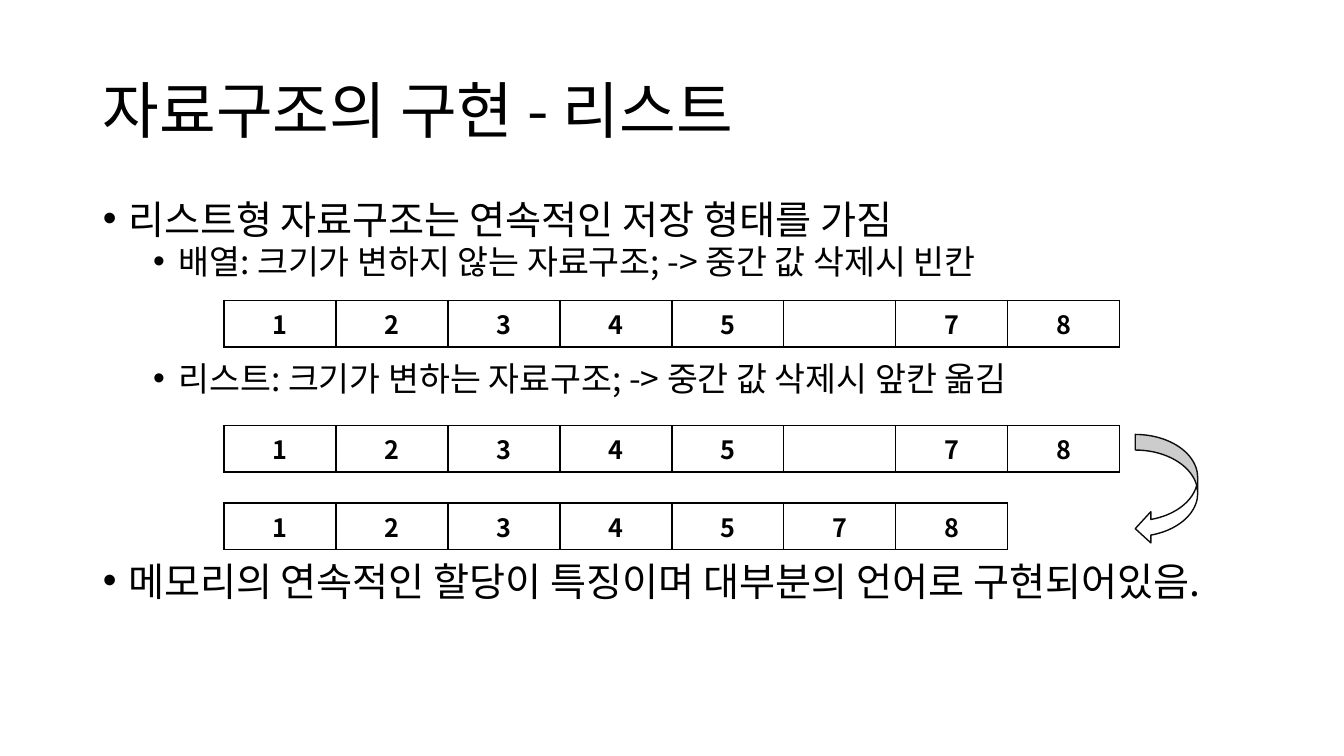
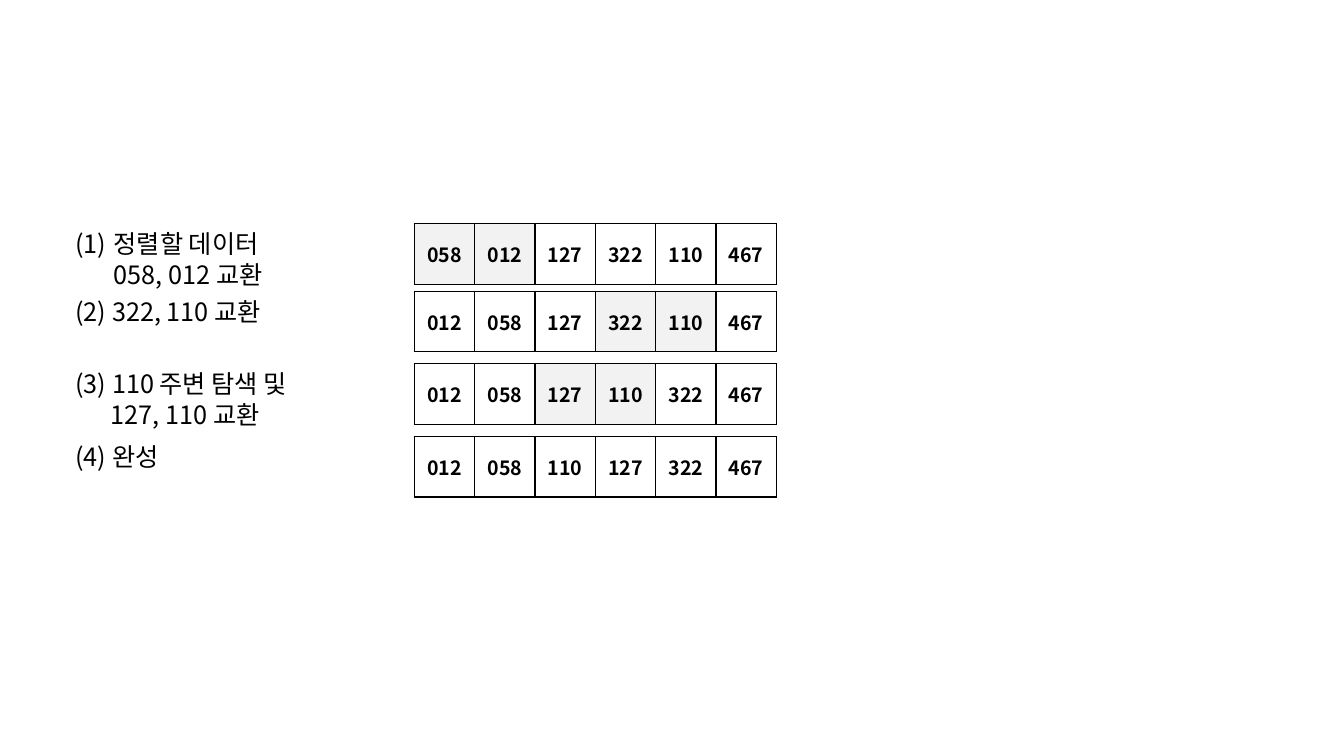
from lxml import etree
from pptx import Presentation
from pptx import util as u
from pptx.dml.color import RGBColor
from pptx.enum import shapes, text
from pptx.oxml.ns import qn

BLACK = RGBColor(0x00, 0x00, 0x00)
INK = RGBColor(0x0D, 0x0D, 0x0D)
WHITE = RGBColor(0xFF, 0xFF, 0xFF)
MARKED = RGBColor(0xF2, 0xF2, 0xF2)
FONT = "Noto Sans CJK KR"
WIDTH, HEIGHT = u.Inches(13.33), u.Inches(7.5)
COLUMN = 100 / 12


def box(left, top, width, height):
    """Turn percentages of the slide into left, top, width and height."""
    return [u.Emu(int(side * share / 100))
            for side, share in zip((WIDTH, HEIGHT) * 2, (left, top, width, height))]


def place(sp, area):
    """Move and size a shape."""
    sp.left, sp.top, sp.width, sp.height = area


def style(p, size, bold=False):
    """Format every run of a paragraph, Latin and Korean alike."""
    for r in p.runs:
        r.font.size, r.font.bold, r.font.name = u.Pt(size), bold, FONT
        r.font.color.rgb = BLACK
        etree.SubElement(r.font._element, qn("a:ea"), typeface=FONT)


def hang(p, left, hanging, tag="a:buNone", **attrs):
    """Give a paragraph a hanging indent and a bullet."""
    pPr = p._p.get_or_add_pPr()
    pPr.set("marL", str(u.Inches(left)))
    pPr.set("indent", str(-u.Inches(hanging)))
    etree.SubElement(pPr, qn(tag), **attrs)


def add_title(s, title):
    """Fill the title placeholder."""
    sp = s.shapes.title
    place(sp, box(6.9, 5.33, 86.25, 19.33))
    tf = sp.text_frame
    tf.text = title
    tf.auto_size = text.MSO_AUTO_SIZE.NONE
    tf.vertical_anchor = text.MSO_ANCHOR.MIDDLE
    p = tf.paragraphs[0]
    p.alignment, p.line_spacing = text.PP_ALIGN.LEFT, 0.9
    style(p, 44)


def add_list(s, items):
    """Fill the body placeholder with (level, space before, text) items."""
    sp = s.placeholders[1]
    place(sp, box(6.9, 26.67, 86.25, 63.47))
    tf = sp.text_frame
    tf.text = "\n".join(item[2] for item in items)
    tf.auto_size = text.MSO_AUTO_SIZE.NONE
    tf.vertical_anchor = text.MSO_ANCHOR.TOP
    for p, (level, before, _) in zip(tf.paragraphs, items):
        p.level, p.line_spacing, p.space_before = level, 0.75, u.Pt(before)
        hang(p, 0.25 + 0.5 * level, 0.25, "a:buChar", char="•")
        style(p, 28 - 4 * level)


def add_border(cell):
    """Draw a thin black line on all four sides of a cell."""
    tcPr = cell._tc.get_or_add_tcPr()
    for side in ("a:lnL", "a:lnR", "a:lnT", "a:lnB"):
        ln = etree.SubElement(tcPr, qn(side), w=str(u.Pt(1)))
        fill = etree.SubElement(ln, qn("a:solidFill"))
        etree.SubElement(fill, qn("a:srgbClr"), val=str(BLACK))


def add_cells(s, left, top, width, height, values, size, marked=(), insets=None):
    """Add a one-row table of equal cells, with some of them shaded."""
    area = box(left, top, width * len(values), height)
    table = s.shapes.add_table(1, len(values), *area).table
    table.first_row = table.horz_banding = False
    for i, value in enumerate(values):
        cell = table.cell(0, i)
        add_border(cell)
        cell.fill.solid()
        cell.fill.fore_color.rgb = MARKED if i in marked else WHITE
        cell.vertical_anchor = text.MSO_ANCHOR.MIDDLE
        if insets:
            cell.margin_left = cell.margin_right = u.Inches(insets[0])
            cell.margin_top = cell.margin_bottom = u.Inches(insets[1])
        p = cell.text_frame.paragraphs[0]
        p.text = value
        p.alignment = text.PP_ALIGN.CENTER
        style(p, size, bold=True)


def add_arrow(s, area):
    """Add the curved arrow that links two rows."""
    sp = s.shapes.add_shape(shapes.MSO_SHAPE.CURVED_LEFT_ARROW, *area)
    sp.shadow.inherit = False
    sp.fill.solid()
    sp.fill.fore_color.rgb = WHITE
    sp.line.color.rgb, sp.line.width = INK, u.Pt(1)


def add_label(s, top, width, label, numbered):
    """Add a step label, numbered by a bullet or by its own text."""
    height = 9.47 if "\n" in label else 5.33
    tf = s.shapes.add_textbox(*box(4.88, top, width, height)).text_frame
    tf.word_wrap = False
    tf.auto_size = text.MSO_AUTO_SIZE.SHAPE_TO_FIT_TEXT
    p = tf.paragraphs[0]
    p.text = label.replace("\n", "\v")
    if numbered:
        hang(p, 0.38, 0.38, "a:buAutoNum", type="arabicParenBoth")
    else:
        hang(p, 0.35, 0.35)
    style(p, 18)


def build_list_slide(prs):
    """Compare an array with a list."""
    s = prs.slides.add_slide(prs.slide_layouts[1])
    add_title(s, "자료구조의 구현 - 리스트")
    add_list(s, [
        (0, 0, "리스트형 자료구조는 연속적인 저장 형태를 가짐"),
        (1, 6, "배열: 크기가 변하지 않는 자료구조; -> 중간 값 삭제시 빈칸"),
        (1, 62, "리스트: 크기가 변하는 자료구조; -> 중간 값 삭제시 앞칸 옮김"),
        (0, 122, "메모리의 연속적인 할당이 특징이며 대부분의 언어로 구현되어있음."),
    ])
    with_gap = ["1", "2", "3", "4", "5", "", "7", "8"]
    closed_up = [value for value in with_gap if value]
    for top, values in ((39.73, with_gap), (56.27, with_gap), (66.53, closed_up)):
        add_cells(s, 2 * COLUMN, top, COLUMN, 5.47, values, 18)
    add_arrow(s, box(84.47, 57.47, 4.65, 14.53))


def build_sort_slide(prs):
    """Show the steps of an exchange sort."""
    s = prs.slides.add_slide(prs.slide_layouts[6])
    steps = [
        (29.6, 16.35, "정렬할 데이터\n058, 012 교환", "058 012 127 322 110 467", (0, 1)),
        (38.53, 16.13, "(2) 322, 110 교환", "012 058 127 322 110 467", (3, 4)),
        (48.13, 18.98, "(3) 110 주변 탐색 및\n127, 110 교환", "012 058 127 110 322 467", (2, 3)),
        (57.73, 8.18, "(4) 완성", "012 058 110 127 322 467", ()),
    ]
    for i, (top, width, label, values, marked) in enumerate(steps):
        add_label(s, top, width, label, numbered=i == 0)
        add_cells(s, 30.83, top, 4.49, 8, values.split(), 14, marked, (0.07, 0.03))


def main():
    """Build and save the presentation."""
    prs = Presentation()
    prs.slide_width, prs.slide_height = WIDTH, HEIGHT
    build_list_slide(prs)
    build_sort_slide(prs)
    prs.save("out.pptx")


if __name__ == "__main__":
    main()
